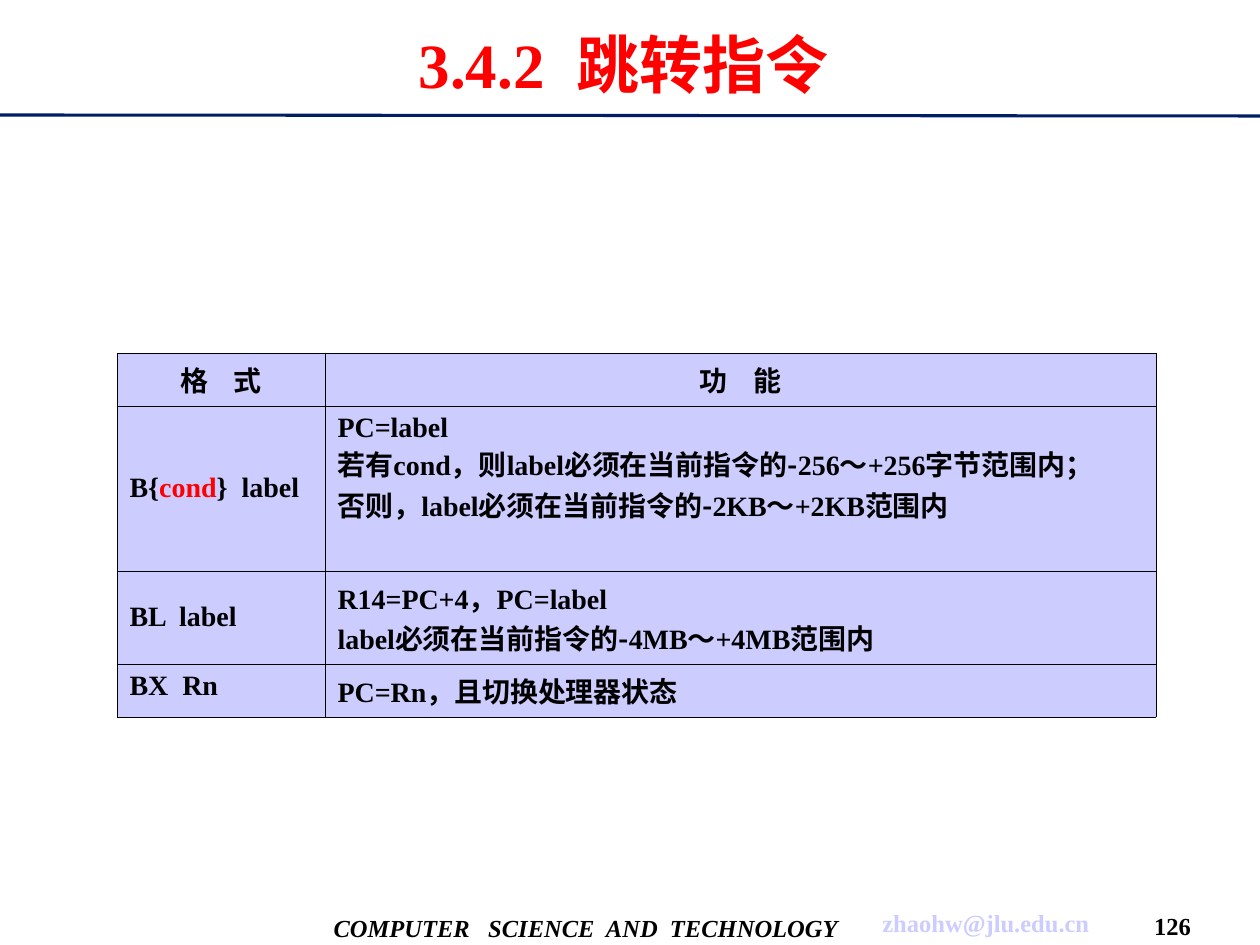
"""Build the slide on jump instructions with its table of formats."""
from lxml import etree
from pptx import Presentation
from pptx.dml.color import RGBColor
from pptx.enum.shapes import MSO_CONNECTOR
from pptx.enum.text import MSO_ANCHOR, PP_ALIGN
from pptx.oxml.ns import qn
from pptx.util import Emu, Pt

LEFT, CENTER = PP_ALIGN.LEFT, PP_ALIGN.CENTER
TOP, MIDDLE = MSO_ANCHOR.TOP, MSO_ANCHOR.MIDDLE
SERIF, SANS, HAN = "Times New Roman", "Arial", "Noto Sans CJK SC"
BLACK, RED, NAVY, LILAC = "000000", "FF0000", "001E64", "CCCCFF"

TITLE = "3.4.2  跳转指令 "
FOOT = [
    ("COMPUTER   SCIENCE  AND  TECHNOLOGY", (324, 901, 524, 53), BLACK, True),
    ("zhaohw@jlu.edu.cn", (872, 900, 228, 45), LILAC, False),
    ("126", (1145, 906, 55, 39), BLACK, False),
]
COND, DASH = ("cond", RED, SERIF), ("-", BLACK, HAN)
HEAD = [["格    式"]], [["功    能"]]
ROWS = [
    ([["B{", COND, "}  label"]],
     [["PC=label"],
      ["若有cond，则label必须在当前指令的", DASH, "256～+256字节范围内；"],
      ["否则，label必须在当前指令的", DASH, "2KB～+2KB范围内"]]),
    ([["BL  label"]],
     [["R14=PC+4，PC=label"],
      ["label必须在当前指令的", DASH, "4MB～+4MB范围内"]]),
    ([["BX  Rn"]], [["PC=Rn，且切换处理器状态"]]),
]
WIDTHS, HEIGHTS = (208, 831), (53, 165, 93, 53)
MIDS = {(1, 0), (2, 0)}


def px(num):
    return Emu(round(num * 914400 / 126))


def rgb(code):
    return RGBColor.from_string(code)


def style(para, size, color, face=SERIF, align=CENTER, slant=False):
    para.alignment = align
    font = para.font
    font.size, font.name, font.bold, font.italic = Pt(size), face, True, slant
    font.color.rgb = rgb(color)
    base = para._p.pPr.find(qn("a:defRPr"))
    etree.SubElement(base, qn("a:ea")).set("typeface", HAN)


def border(cell):
    props = cell._tc.get_or_add_tcPr()
    for spot, side in enumerate(("lnL", "lnR", "lnT", "lnB")):
        line = etree.Element(qn(f"a:{side}"), w=str(Pt(0.45)))
        fill = etree.SubElement(line, qn("a:solidFill"))
        etree.SubElement(fill, qn("a:srgbClr"), val=BLACK)
        props.insert(spot, line)


def fill_cell(cell, paras, face, align, anchor):
    cell.fill.solid()
    cell.fill.fore_color.rgb = rgb(LILAC)
    cell.vertical_anchor = anchor
    border(cell)
    frame = cell.text_frame
    for num, parts in enumerate(paras):
        para = frame.add_paragraph() if num else frame.paragraphs[0]
        style(para, 16, BLACK, face, align)
        para._p.pPr.set("marL", str(px(48)))
        para._p.pPr.set("indent", str(px(-48)))
        para._p.pPr.set("hangingPunct", "0")
        for part in parts:
            run = para.add_run()
            if isinstance(part, str):
                run.text = part
            else:
                run.text, color, run.font.name = part
                run.font.color.rgb = rgb(color)


def add_grid(slide):
    data = [HEAD, *ROWS]
    box = map(px, (117, 353, sum(WIDTHS), sum(HEIGHTS)))
    grid = slide.shapes.add_table(len(data), len(WIDTHS), *box).table
    grid.first_row = grid.horz_banding = False
    for col, width in zip(grid.columns, WIDTHS):
        col.width = px(width)
    for row, height in zip(grid.rows, HEIGHTS):
        row.height = px(height)
    for r, cells in enumerate(data):
        face, align = (SERIF, LEFT) if r else (SANS, CENTER)
        for c, paras in enumerate(cells):
            anchor = MIDDLE if (r, c) in MIDS else TOP
            fill_cell(grid.cell(r, c), paras, face, align, anchor)


def main():
    deck = Presentation()
    deck.slide_width, deck.slide_height = px(1260), px(945)
    slide = deck.slides.add_slide(deck.slide_layouts[5])
    shapes = slide.shapes

    rule = shapes.add_connector(MSO_CONNECTOR.STRAIGHT, *map(px, (0, 115, 1260, 116)))
    rule.line.color.rgb, rule.line.width = rgb(NAVY), Pt(1.75)
    etree.SubElement(rule._element.spPr, qn("a:effectLst"))

    for text, box, color, slant in FOOT:
        frame = shapes.add_textbox(*map(px, box)).text_frame
        frame.word_wrap, frame.vertical_anchor = False, MIDDLE
        frame.margin_left = frame.margin_right = 0
        frame.text = text
        style(frame.paragraphs[0], 14, color, slant=slant)

    title = shapes.title
    title.left, title.top, title.width, title.height = map(px, (40, 11, 1181, 105))
    title.text_frame.text = TITLE
    title.text_frame.vertical_anchor = MIDDLE
    style(title.text_frame.paragraphs[0], 36, RED)

    add_grid(slide)
    deck.save("out.pptx")


if __name__ == "__main__":
    main()
